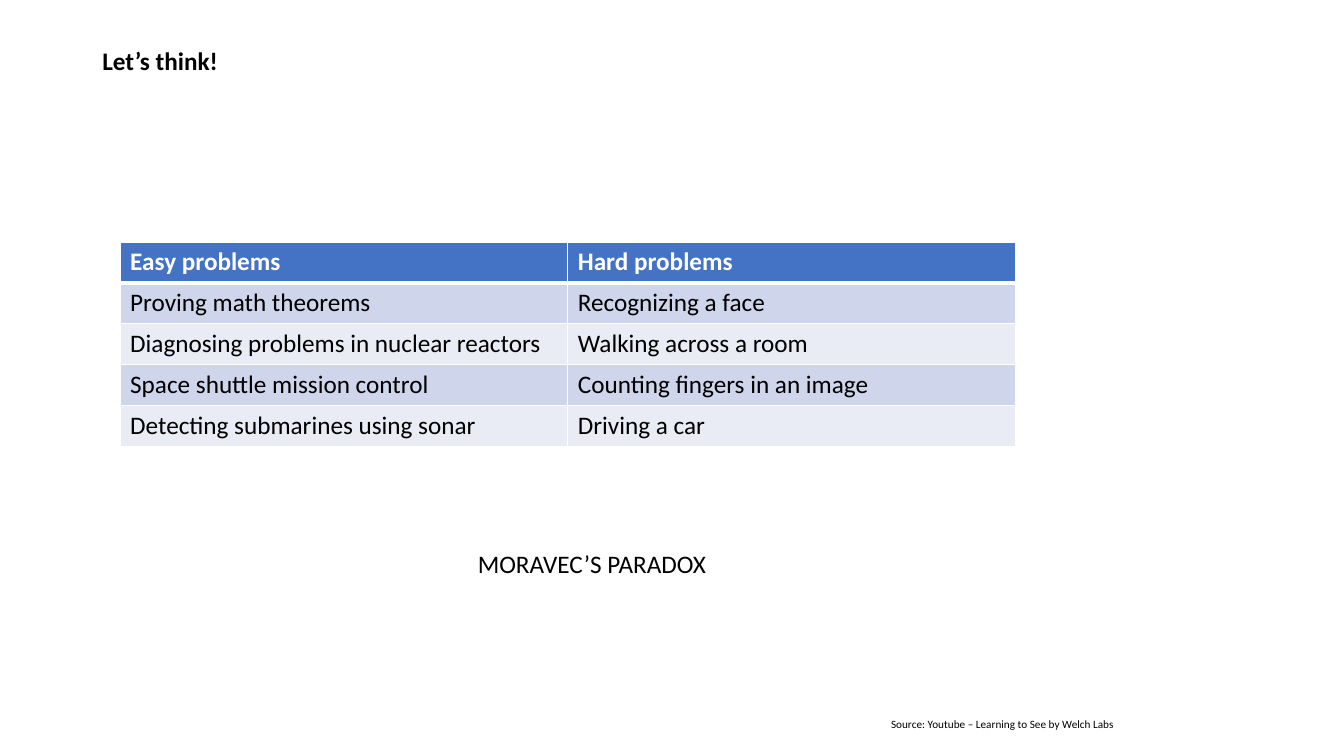
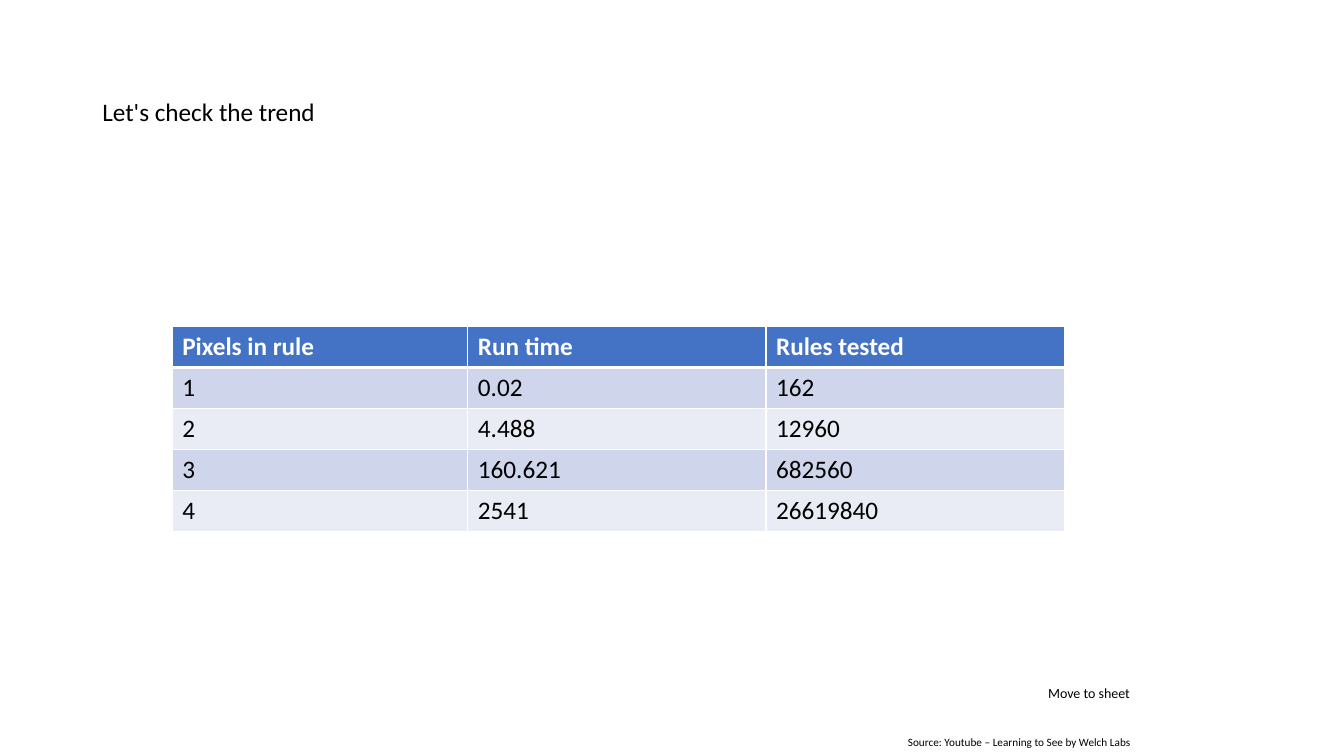
import pptx
import pptx.dml.color
import pptx.enum.text
import pptx.oxml
import pptx.oxml.ns
import pptx.util

COLORS = {
    "text": "000000",
    "header_text": "FFFFFF",
    "header": "4472C4",
    "odd_row": "CFD5EA",
    "even_row": "E9EBF5",
    "border": "FFFFFF",
}
COLUMNS, ROWS = 160, 90
SOURCE = "Source: Youtube – Learning to See by Welch Labs"


def rgb(name):
    return pptx.dml.color.RGBColor.from_string(COLORS[name])


class Deck:
    """Holds the style and the current slide; lengths are grid columns and rows."""

    font_name = "Calibri"
    body_size = 18
    row_height = 4.87

    def __init__(self):
        self.presentation = pptx.Presentation()
        self.presentation.slide_width = pptx.util.Inches(13.33)
        self.presentation.slide_height = pptx.util.Inches(7.5)
        self.slide = None

    def x(self, columns):
        return round(self.presentation.slide_width * columns / COLUMNS)

    def y(self, rows):
        return round(self.presentation.slide_height * rows / ROWS)

    def box(self, left, top, width, height):
        return self.x(left), self.y(top), self.x(width), self.y(height)

    def new_slide(self):
        blank = self.presentation.slide_layouts[6]
        self.slide = self.presentation.slides.add_slide(blank)

    def style(self, paragraph, size, color="text", bold=False):
        paragraph.font.name = self.font_name
        paragraph.font.size = pptx.util.Pt(size)
        paragraph.font.bold = bold
        paragraph.font.color.rgb = rgb(color)

    def text(self, wording, left, top, width, height, size=body_size, bold=False):
        frame = self.slide.shapes.add_textbox(*self.box(left, top, width, height)).text_frame
        frame.word_wrap = True
        frame.text = wording
        self.style(frame.paragraphs[0], size, bold=bold)
        return frame

    def title(self, wording, width, height, bold=False):
        frame = self.text(wording, 11, 4.8, width, height, bold=bold)
        frame.vertical_anchor = pptx.enum.text.MSO_ANCHOR.MIDDLE
        frame.paragraphs[0].line_spacing = 0.9

    def source(self, left, top):
        self.text(SOURCE, left, top, 53, 2.9, size=8)

    def borders(self, cell, row):
        """White grid lines, with a thick one under the header row."""
        widths = {"L": 1, "R": 1, "T": 3 if row == 1 else 1, "B": 3 if row == 0 else 1}
        properties = cell._tc.get_or_add_tcPr()
        for side, width in widths.items():
            properties.append(pptx.oxml.parse_xml(
                f'<a:ln{side} {pptx.oxml.ns.nsdecls("a")} w="{pptx.util.Pt(width)}">'
                f'<a:solidFill><a:srgbClr val="{COLORS["border"]}"/></a:solidFill>'
                f'</a:ln{side}>'))

    def table(self, left, top, widths, records):
        frame = self.slide.shapes.add_table(
            len(records), len(widths),
            *self.box(left, top, sum(widths), self.row_height * len(records)))
        grid = frame.table
        for column, width in zip(grid.columns, widths):
            column.width = self.x(width)
        for row, record in enumerate(records):
            grid.rows[row].height = self.y(self.row_height)
            header = row == 0
            fill = "header" if header else "odd_row" if row % 2 else "even_row"
            for column, wording in enumerate(record):
                cell = grid.cell(row, column)
                self.borders(cell, row)
                cell.fill.solid()
                cell.fill.fore_color.rgb = rgb(fill)
                cell.text = wording
                self.style(cell.text_frame.paragraphs[0], self.body_size,
                           "header_text" if header else "text", header)


def paradox_slide(deck):
    deck.new_slide()
    deck.title("Let’s think!", 122.2, 5.2, bold=True)
    deck.table(14.3, 28.8, [53.3, 53.3], [
        ("Easy problems", "Hard problems"),
        ("Proving math theorems", "Recognizing a face"),
        ("Diagnosing problems in nuclear reactors", "Walking across a room"),
        ("Space shuttle mission control", "Counting fingers in an image"),
        ("Detecting submarines using sonar", "Driving a car"),
    ])
    deck.text("MORAVEC’S PARADOX", 55.7, 64.7, 67.3, 4.8)
    deck.source(104.9, 84.8)


def trend_slide(deck):
    deck.new_slide()
    deck.source(106.9, 86.9)
    deck.title("Let's check the trend", 138, 17.4)
    deck.text("Move to sheet", 123.6, 80.9, 27.4, 3.2, size=10)
    deck.table(20.5, 38.9, [35.2, 35.5, 35.5], [
        ("Pixels in rule", "Run time", "Rules tested"),
        ("1", "0.02", "162"),
        ("2", "4.488", "12960"),
        ("3", "160.621", "682560"),
        ("4", "2541", "26619840"),
    ])


def main():
    deck = Deck()
    paradox_slide(deck)
    trend_slide(deck)
    deck.presentation.save("out.pptx")


if __name__ == "__main__":
    main()
